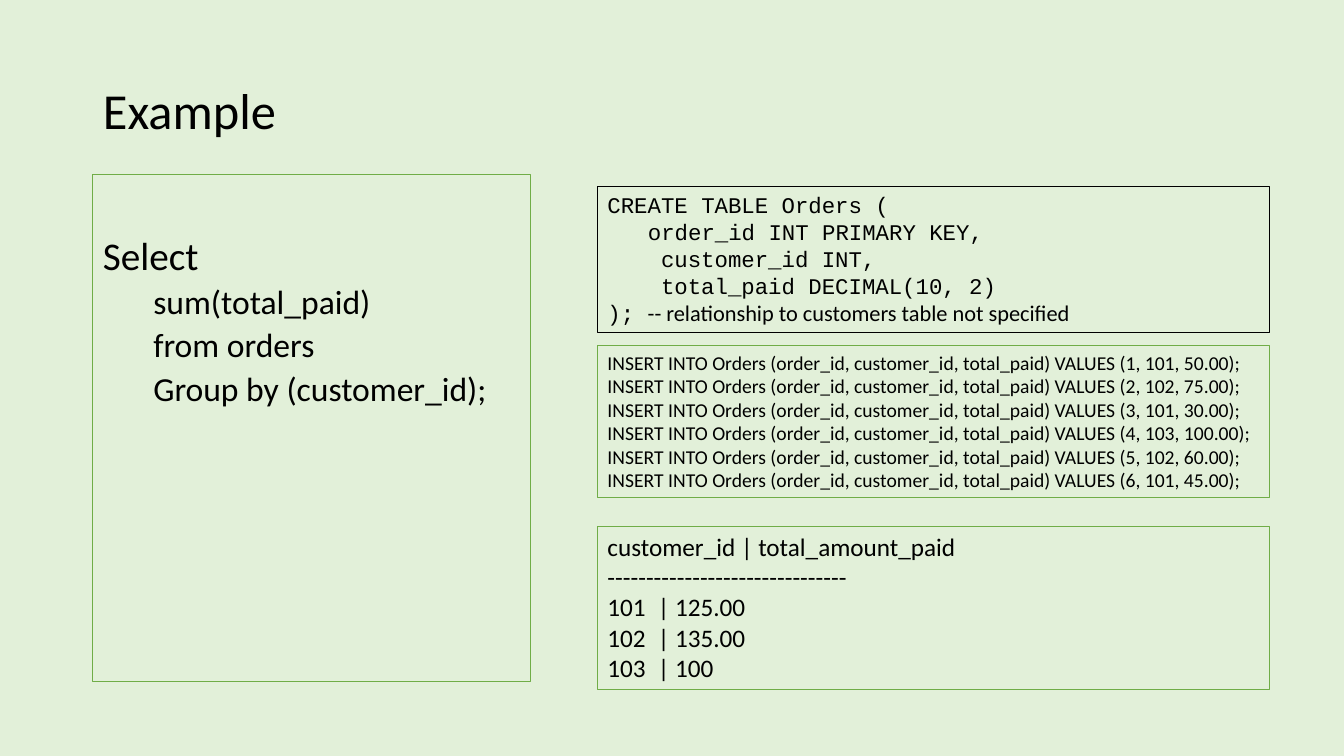
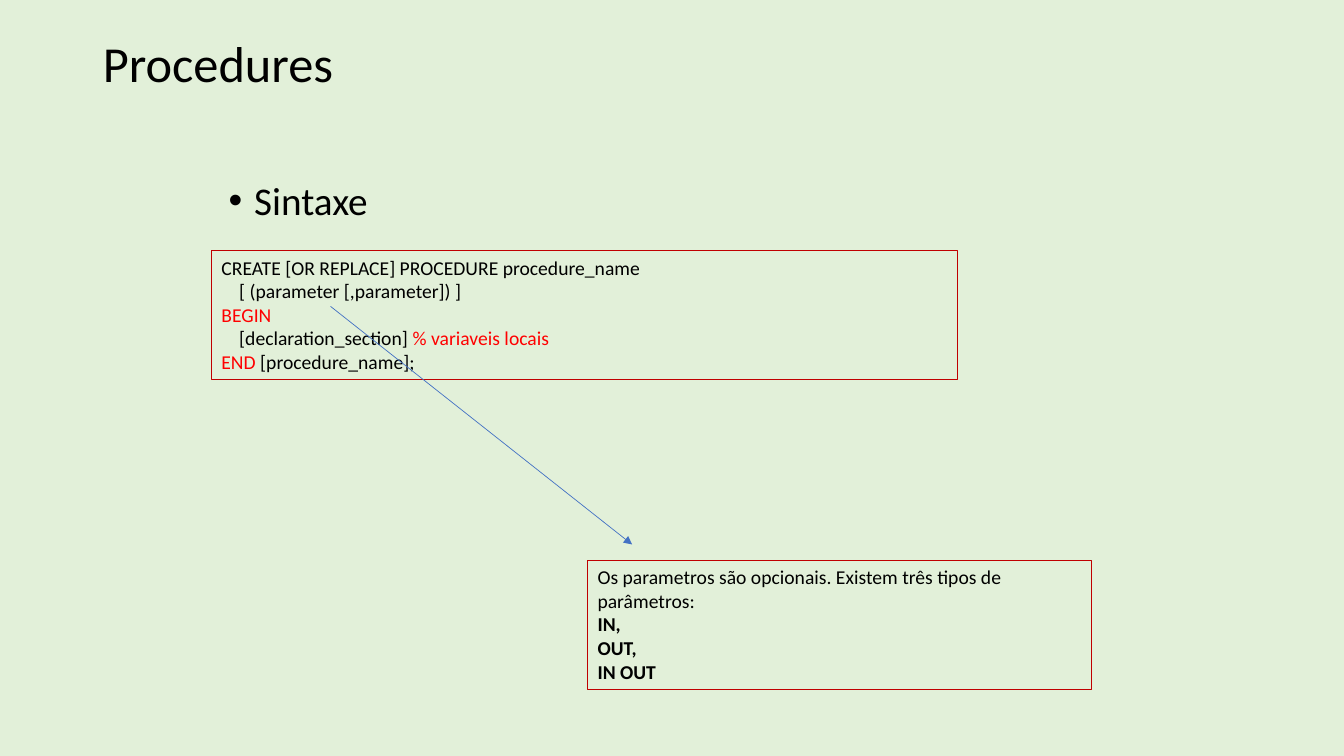
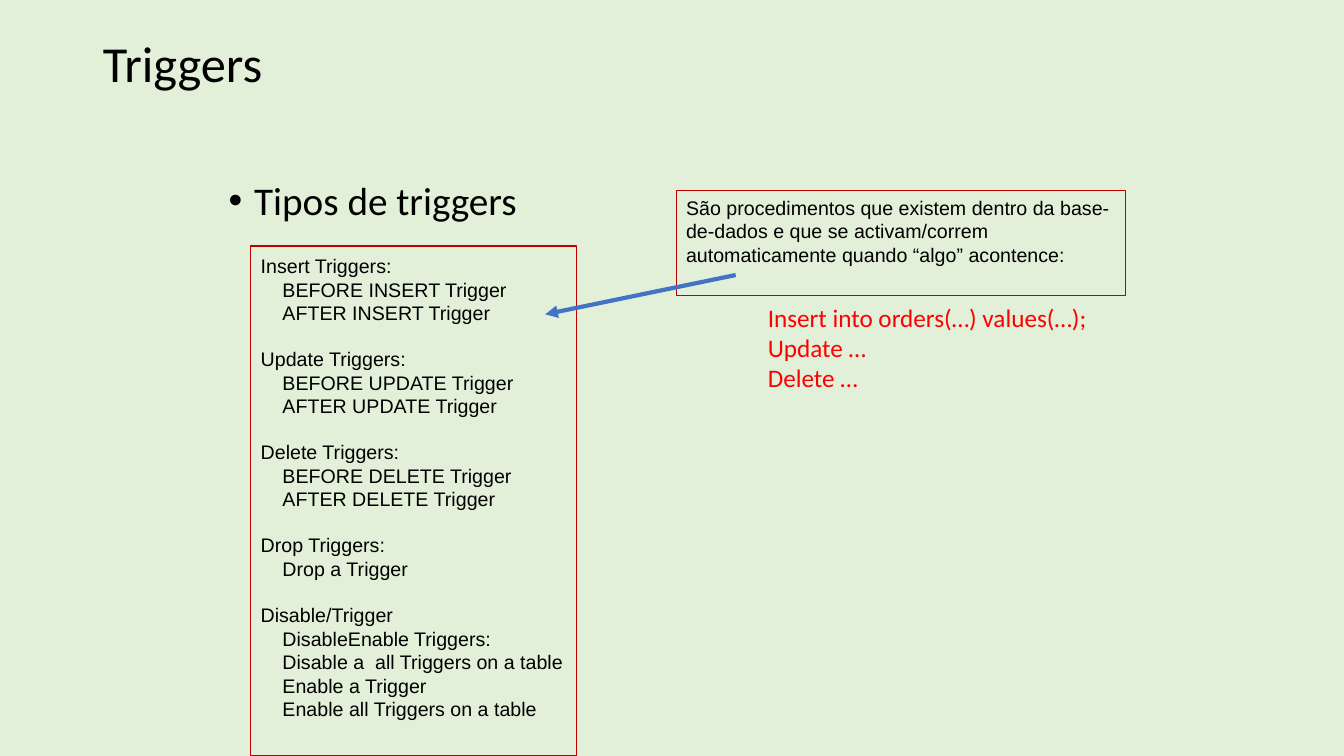
from dataclasses import dataclass

import pptx
import pptx.dml.color
import pptx.enum.shapes
import pptx.enum.text
import pptx.oxml.ns
import pptx.util
from lxml import etree

Cm = pptx.util.Cm
Pt = pptx.util.Pt
RGBColor = pptx.dml.color.RGBColor
qn = pptx.oxml.ns.qn

PALE_GREEN = RGBColor(0xE2, 0xF0, 0xD9)
GREEN = RGBColor(0x70, 0xAD, 0x47)
BLACK = RGBColor(0x00, 0x00, 0x00)
DARK_RED = RGBColor(0xC0, 0x00, 0x00)
RED = RGBColor(0xFF, 0x00, 0x00)
BLUE = RGBColor(0x44, 0x72, 0xC4)

TITLE_BOX = (2.34, 0.69, 25.6, 1.98)
TALL_TITLE_BOX = (2.34, 1.02, 8.89, 3.68)
BULLET_INDENT = 0.64


@dataclass
class Style:
    size: float
    font: str = "Calibri"
    color: RGBColor = BLACK
    spacing: float = 1.0


TITLE = Style(36, spacing=0.9)
BODY = Style(28, spacing=0.9)
SUB_BODY = Style(24, spacing=0.9)
CODE = Style(16, "Courier New")
SMALL = Style(14)
SMALL_ARIAL = Style(14, "Arial")
RESULT = Style(18)
STATEMENT = Style(18, color=RED)


@dataclass
class Line:
    """One paragraph; each span is a text or a (text, colour, font) triple."""
    spans: tuple
    indent: float = 0
    before: float = 0
    bold: bool = False
    bullet: bool = False
    tab: float = 0


def write_line(para, line, style):
    para.alignment = pptx.enum.text.PP_ALIGN.LEFT
    para.line_spacing = style.spacing
    para.space_before = Pt(line.before)
    properties = para._p.get_or_add_pPr()
    properties.set("marL", str(Cm(line.indent)))
    properties.set("indent", str(Cm(-line.indent if line.bullet else 0)))
    if not line.bullet:
        etree.SubElement(properties, qn("a:buNone"))
    if line.tab:
        tabs = etree.SubElement(properties, qn("a:tabLst"))
        etree.SubElement(tabs, qn("a:tab"), pos=str(Cm(line.tab)), algn="l")
    para.font.size = Pt(style.size)
    para.font.name = style.font
    para.font.color.rgb = style.color
    para.font.bold = line.bold
    for span in line.spans:
        run = para.add_run()
        if isinstance(span, str):
            run.text = span
        else:
            run.text, run.font.color.rgb, run.font.name = span


def write_lines(box, styled_lines, anchor=pptx.enum.text.MSO_ANCHOR.TOP):
    frame = box.text_frame
    frame.word_wrap = True
    frame.auto_size = pptx.enum.text.MSO_AUTO_SIZE.NONE
    frame.vertical_anchor = anchor
    for index, (line, style) in enumerate(styled_lines):
        para = frame.add_paragraph() if index else frame.paragraphs[0]
        write_line(para, line, style)


def place(box, area):
    box.left, box.top, box.width, box.height = map(Cm, area)


def outline(box, color):
    box.line.color.rgb = color
    box.line.width = Pt(0.75)


def add_page(deck, title, body_area, body_lines, title_area=TITLE_BOX):
    page = deck.slides.add_slide(deck.slide_layouts[1])
    place(page.shapes.title, title_area)
    write_lines(page.shapes.title, [(Line((title,)), TITLE)],
                pptx.enum.text.MSO_ANCHOR.MIDDLE)
    body = page.placeholders[1]
    place(body, body_area)
    write_lines(body, body_lines)
    return page


def bullet(text):
    return [(Line((text,), BULLET_INDENT, before=10, bullet=True), BODY)]


def add_panel(page, area, lines, style, border=None):
    panel = page.shapes.add_textbox(*map(Cm, area))
    if border is not None:
        outline(panel, border)
    write_lines(panel, [(line, style) for line in lines])
    return panel


def add_arrow(page, start, end, width):
    arrow = page.shapes.add_connector(
        pptx.enum.shapes.MSO_CONNECTOR.STRAIGHT, *map(Cm, start + end))
    arrow.line.color.rgb = BLUE
    arrow.line.width = Pt(width)
    properties = arrow._element.spPr
    etree.SubElement(properties.find(qn("a:ln")), qn("a:tailEnd"), type="triangle")
    etree.SubElement(properties, qn("a:effectLst"))


def build_example(deck):
    query = [(Line(("Select",)), BODY)]
    for text in ("sum(total_paid)", "from orders", "Group by (customer_id);"):
        query.append((Line((text,), 1.27, before=5), SUB_BODY))
    page = add_page(deck, "Example", (2.34, 4.39, 11.02, 12.78), query, TALL_TITLE_BOX)
    body = page.placeholders[1]
    outline(body, GREEN)
    body.text_frame.margin_top = Cm(1.56)

    left, width = 15.06, 16.94
    create = [
        Line(("CREATE TABLE Orders (",)),
        Line(("order_id INT PRIMARY KEY,",), 1.02),
        Line(("customer_id INT,",), 1.35),
        Line(("total_paid DECIMAL(10, 2)",), 1.35),
        Line(("); ", ("-- relationship to customers table not specified", BLACK, "Calibri"))),
    ]
    add_panel(page, (left, 4.7, width, 3.68), create, CODE, BLACK)

    orders = [(101, 50), (102, 75), (101, 30), (103, 100), (102, 60), (101, 45)]
    inserts = [
        Line((f"INSERT INTO Orders (order_id, customer_id, total_paid) "
              f"VALUES ({order}, {customer}, {paid:.2f});",))
        for order, (customer, paid) in enumerate(orders, 1)
    ]
    add_panel(page, (left, 8.71, width, 3.84), inserts, SMALL, GREEN)

    totals = [("101", "125.00"), ("102", "135.00"), ("103", "100")]
    result = [Line(("customer_id | total_amount_paid",)), Line(("-" * 31,))]
    result += [Line((f"{customer}\t| {total}",), tab=3.41) for customer, total in totals]
    add_panel(page, (left, 13.26, width, 4.11), result, RESULT, GREEN)


def build_procedures(deck):
    page = add_page(deck, "Procedures", (5.51, 4.45, 22.86, 1.68), bullet("Sintaxe"))
    syntax = [
        Line(("CREATE [OR REPLACE] PROCEDURE procedure_name",)),
        Line(("[ (parameter [,parameter]) ]",), 0.45),
        Line((("BEGIN", RED, "Calibri"),)),
        Line(("[declaration_section] ", ("% variaveis locais", RED, "Calibri")), 0.45),
        Line((("END", RED, "Calibri"), " [procedure_name];")),
    ]
    add_panel(page, (5.33, 6.32, 18.8, 3.25), syntax, SMALL, DARK_RED)
    kinds = [Line(("Os parametros são opcionais. Existem três tipos de parâmetros:",))]
    kinds += [Line((text,), bold=True) for text in ("IN,", "OUT,", "IN OUT")]
    add_panel(page, (14.81, 14.12, 12.7, 3.25), kinds, SMALL, DARK_RED)
    add_arrow(page, (8.33, 7.72), (15.93, 13.72), 0.5)


def build_triggers(deck):
    page = add_page(deck, "Triggers", (5.51, 4.45, 22.86, 2.08), bullet("Tipos de triggers"))
    groups = {
        f"{event} Triggers:": [f"{moment} {event.upper()} Trigger"
                               for moment in ("BEFORE", "AFTER")]
        for event in ("Insert", "Update", "Delete")
    }
    groups["Drop Triggers:"] = ["Drop a Trigger"]
    groups["Disable/Trigger"] = [
        "DisableEnable Triggers:", "Disable a  all Triggers on a table",
        "Enable a Trigger", "Enable all Triggers on a table",
    ]
    lines = []
    for heading, items in groups.items():
        lines.append(Line((heading,), before=16.1 if lines else 0))
        lines += [Line((item,), 0.55) for item in items]
    panel = add_panel(page, (6.32, 6.2, 8.2, 12.83), lines, SMALL_ARIAL, DARK_RED)
    panel.text_frame.margin_top = Cm(0.2)

    meaning = ("São procedimentos que existem dentro da base-de-dados e que se "
               "activam/correm automaticamente quando “algo” acontence:")
    add_panel(page, (17.04, 4.8, 11.33, 2.64), [Line((meaning,))], SMALL_ARIAL, DARK_RED)
    add_arrow(page, (18.54, 6.93), (13.74, 7.92), 3)
    statements = ("Insert into orders(…) values(…);", "Update …", "Delete …")
    add_panel(page, (19.1, 7.49, 8.64, 2.57),
              [Line((text,)) for text in statements], STATEMENT)


def main():
    deck = pptx.Presentation()
    deck.slide_width, deck.slide_height = Cm(33.87), Cm(19.05)
    background = deck.slide_master.background.fill
    background.solid()
    background.fore_color.rgb = PALE_GREEN
    build_example(deck)
    build_procedures(deck)
    build_triggers(deck)
    deck.save("out.pptx")


if __name__ == "__main__":
    main()
